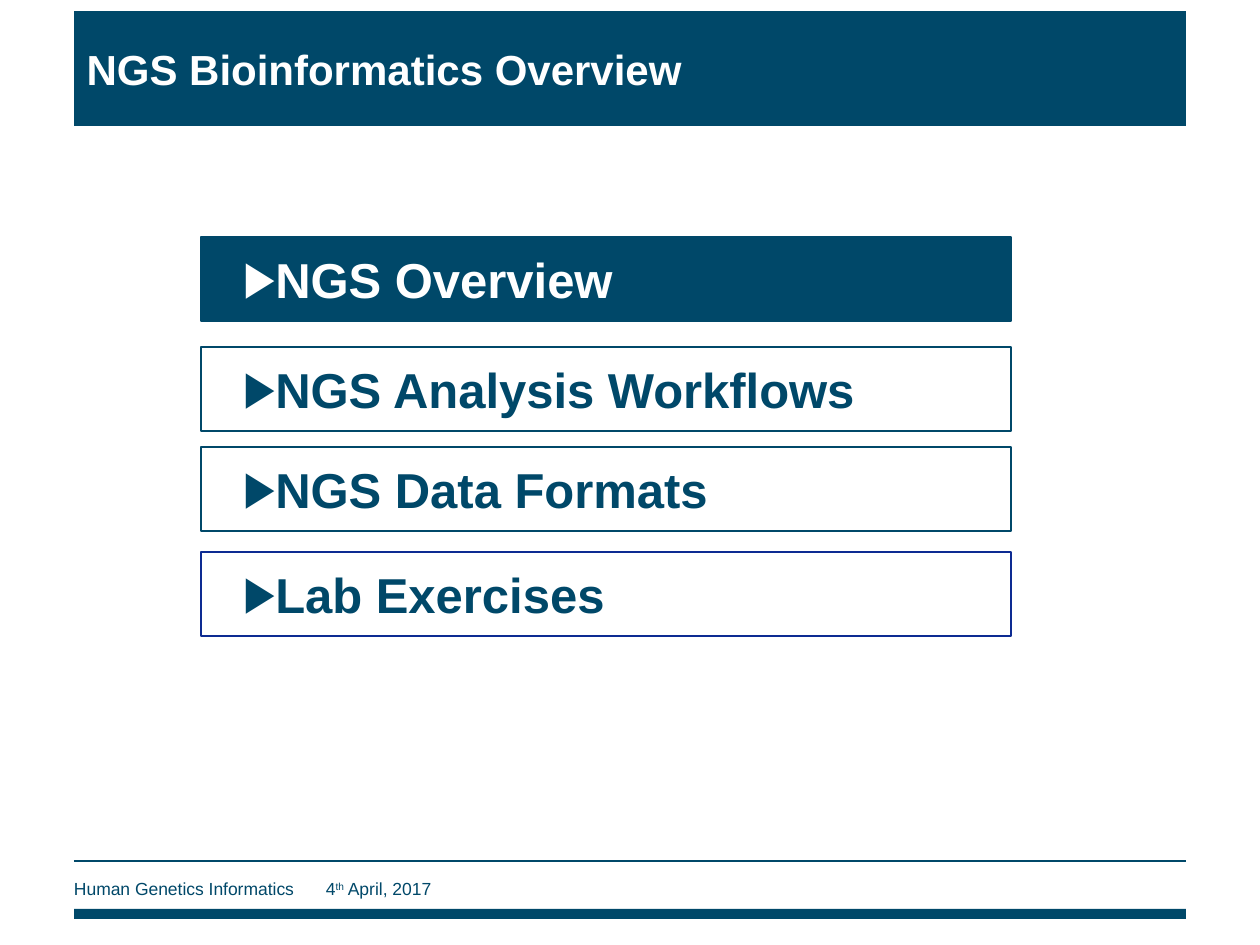
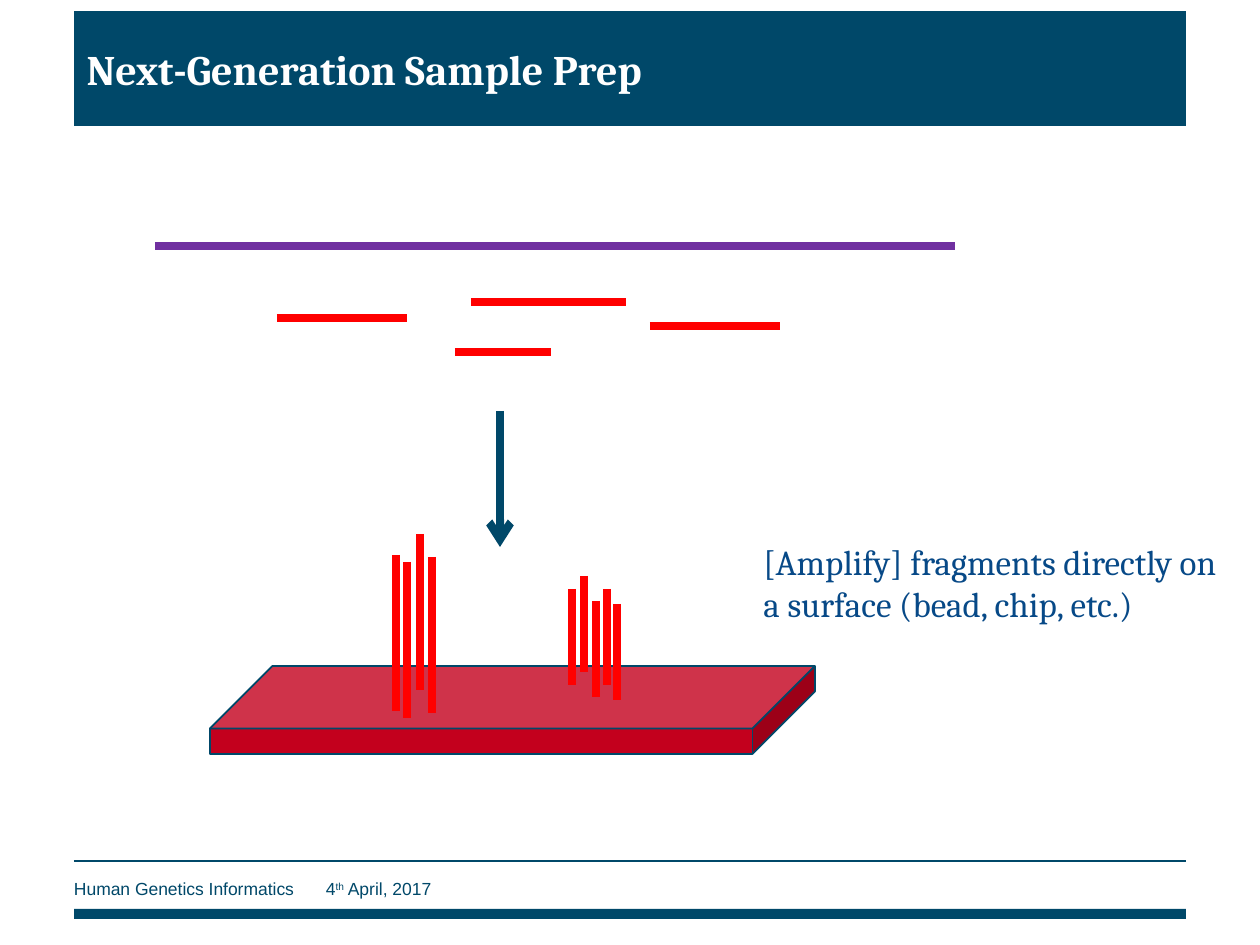
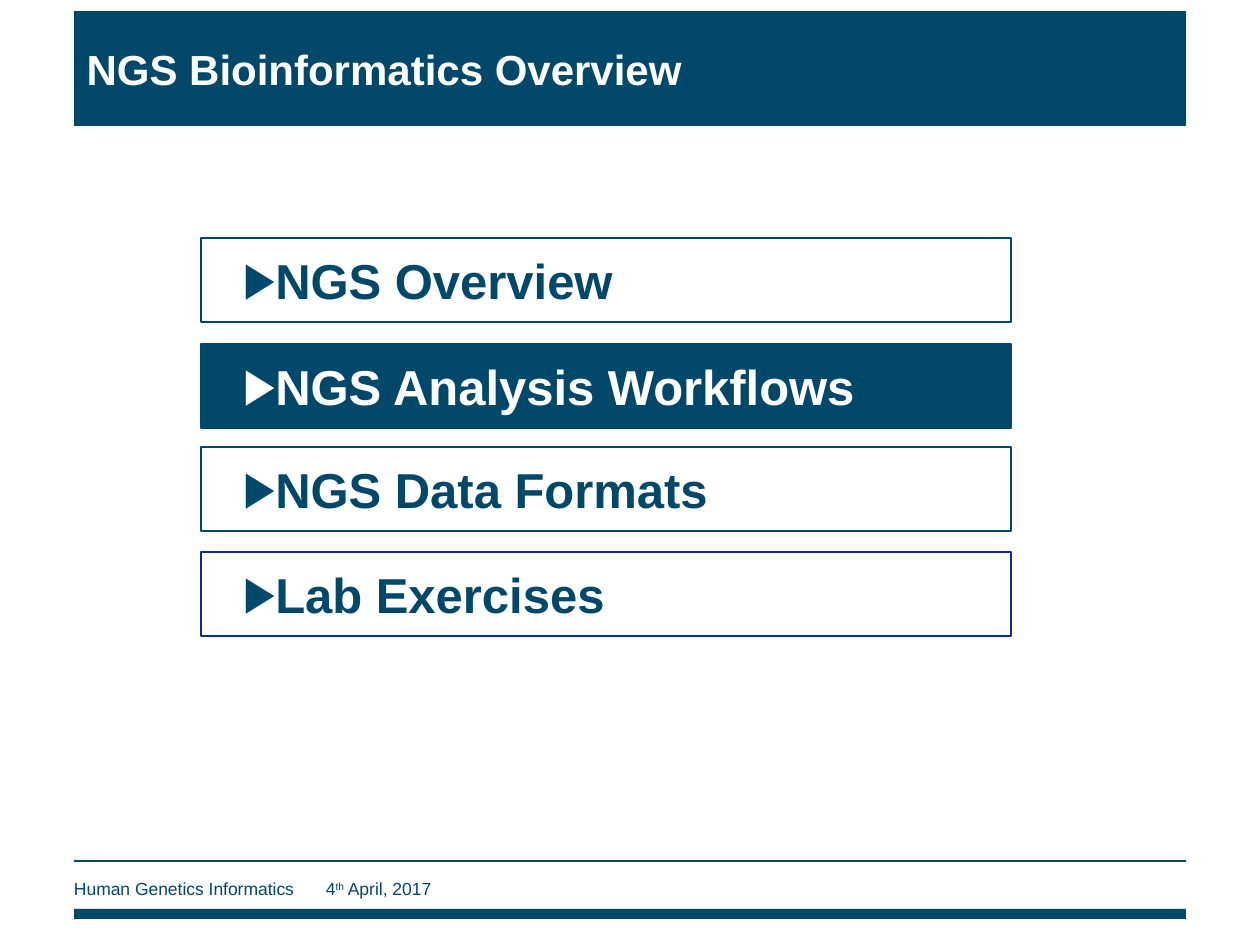
from lxml.etree import SubElement
from pptx import Presentation
from pptx.dml.color import RGBColor
from pptx.enum.shapes import MSO_CONNECTOR, MSO_SHAPE
from pptx.enum.text import MSO_ANCHOR, PP_ALIGN
from pptx.oxml.ns import qn
from pptx.util import Emu, Pt

SCALE = 914400 / 126
TEAL = RGBColor(0x00, 0x48, 0x69)
NAVY = RGBColor(0x0D, 0x2B, 0x92)
BLUE = RGBColor(0x07, 0x49, 0x87)
RED = RGBColor(0xFF, 0x00, 0x00)
BRICK = RGBColor(0xC3, 0x00, 0x1D)
PURPLE = RGBColor(0x70, 0x30, 0xA0)
WHITE = RGBColor(0xFF, 0xFF, 0xFF)
LEFT, WIDE = 74, 1112
FRAGMENTS = [(471, 302, 155), (650, 326, 130), (277, 318, 130), (455, 352, 96)]
TALL = [(396, 555), (407, 562), (420, 534), (432, 557)]
SHORT = [(572, 589), (584, 576), (596, 601), (607, 589), (617, 604)]


def px(size):
    """Turn pixels into EMU."""
    return Emu(round(size * SCALE))


def style(para, size, color, face="Arial", bold=False):
    """Set the font of a whole paragraph and align it left."""
    para.alignment = PP_ALIGN.LEFT
    font = para.font
    font.name, font.size, font.bold = face, Pt(size), bold
    font.color.rgb = color


def add_box(slide, kind, x, y, w, h, fill, edge=None, weight=0.75):
    """Add a filled shape, with an outline if an edge colour is given."""
    box = slide.shapes.add_shape(kind, px(x), px(y), px(w), px(h))
    box.shadow.inherit = False
    box.fill.solid()
    box.fill.fore_color.rgb = fill
    if edge is None:
        box.line.fill.background()
    else:
        box.line.color.rgb = edge
        box.line.width = Pt(weight)
    return box


def add_line(slide, x, y, w, h, color, weight=4.5, arrow=False):
    """Add a straight line, with an arrowhead at its end on demand."""
    line = slide.shapes.add_connector(
        MSO_CONNECTOR.STRAIGHT, px(x), px(y), px(x + w), px(y + h))
    line.line.color.rgb = color
    line.line.width = Pt(weight)
    props = line._element.spPr
    if arrow:
        SubElement(props.find(qn("a:ln")), qn("a:tailEnd"), type="arrow")
    SubElement(props, qn("a:effectLst"))


def add_text(slide, x, y, w, h):
    """Add a wrapping text box and return its frame."""
    frame = slide.shapes.add_textbox(px(x), px(y), px(w), px(h)).text_frame
    frame.word_wrap = True
    return frame


def add_foot(slide):
    """Add the rule, the dated footer and the bottom band."""
    add_box(slide, MSO_SHAPE.RECTANGLE, LEFT, 909, WIDE, 10, TEAL)
    add_line(slide, LEFT, 861, WIDE, 0, TEAL, 0.75)
    frame = add_text(slide, LEFT, 872, 846, 34)
    frame.margin_left = 0
    frame.vertical_anchor = MSO_ANCHOR.MIDDLE
    para = frame.paragraphs[0]
    tabs = SubElement(para._p.get_or_add_pPr(), qn("a:tabLst"))
    SubElement(tabs, qn("a:tab"), pos=str(px(252)), algn="l")
    style(para, 10, TEAL)
    for text in ("Human Genetics Informatics\t4", "th", " April, 2017"):
        run = para.add_run()
        run.text = text
        if text == "th":
            run._r.get_or_add_rPr().set("baseline", "30000")


def add_slide(deck, text, face="Arial"):
    """Add a slide with its title band and footer."""
    slide = deck.slides.add_slide(deck.slide_layouts[5])
    title = slide.shapes.title
    title.left, title.top = px(LEFT), px(11)
    title.width, title.height = px(WIDE), px(115)
    title.fill.solid()
    title.fill.fore_color.rgb = TEAL
    frame = title.text_frame
    frame.text = text
    frame.vertical_anchor = MSO_ANCHOR.MIDDLE
    style(frame.paragraphs[0], 24, WHITE, face, True)
    add_foot(slide)
    return slide


def add_item(slide, text, y, active, edge):
    """Add one agenda bar, inverted when it is active."""
    fill, ink = (TEAL, WHITE) if active else (WHITE, TEAL)
    bar = add_box(slide, MSO_SHAPE.RECTANGLE, 201, y, 810, 84, fill, edge)
    frame = bar.text_frame
    frame.word_wrap = True
    frame.margin_left = px(42)
    frame.text = text
    para = frame.paragraphs[0]
    props = para._p.get_or_add_pPr()
    props.set("marL", "0")
    props.set("indent", "0")
    tint = SubElement(props, qn("a:buClr"))
    SubElement(tint, qn("a:srgbClr"), val=str(ink))
    SubElement(props, qn("a:buFont"), typeface="Arial")
    SubElement(props, qn("a:buChar"), char="▶")
    style(para, 28, ink, bold=True)


def add_menu(deck, active, first, second):
    """Add an agenda slide with one active item."""
    slide = add_slide(deck, "NGS Bioinformatics Overview")
    items = [("NGS Overview", first, TEAL),
             ("NGS Analysis Workflows", second, TEAL),
             ("NGS Data Formats", 447, TEAL),
             ("Lab Exercises", 552, NAVY)]
    for text, y, edge in items:
        add_item(slide, text, y, text == active, edge)


def add_prep(deck):
    """Add the slide on sample preparation."""
    slide = add_slide(deck, "Next-Generation Sample Prep", "Cambria")
    chip = add_box(slide, MSO_SHAPE.CUBE, 210, 666, 605, 88, BRICK, TEAL, 1)
    chip.adjustments[0] = 0.71
    add_line(slide, 155, 246, 800, 0, PURPLE)
    for x, y, w in FRAGMENTS:
        add_line(slide, x, y, w, 0, RED)
    frame = add_text(slide, 751, 534, 481, 97)
    frame.text = "[Amplify] fragments directly on a surface (bead, chip, etc.)"
    style(frame.paragraphs[0], 20, BLUE, "Cambria")
    add_line(slide, 500, 411, 0, 136, TEAL, arrow=True)
    for group, h in ((TALL, 156), (SHORT, 96)):
        for x, y in group:
            add_line(slide, x, y, 0, h, RED)


def main():
    """Build and save the deck."""
    deck = Presentation()
    deck.slide_width, deck.slide_height = px(1260), px(945)
    add_menu(deck, "NGS Overview", 237, 347)
    add_prep(deck)
    add_menu(deck, "NGS Analysis Workflows", 238, 344)
    deck.save("out.pptx")


if __name__ == "__main__":
    main()
